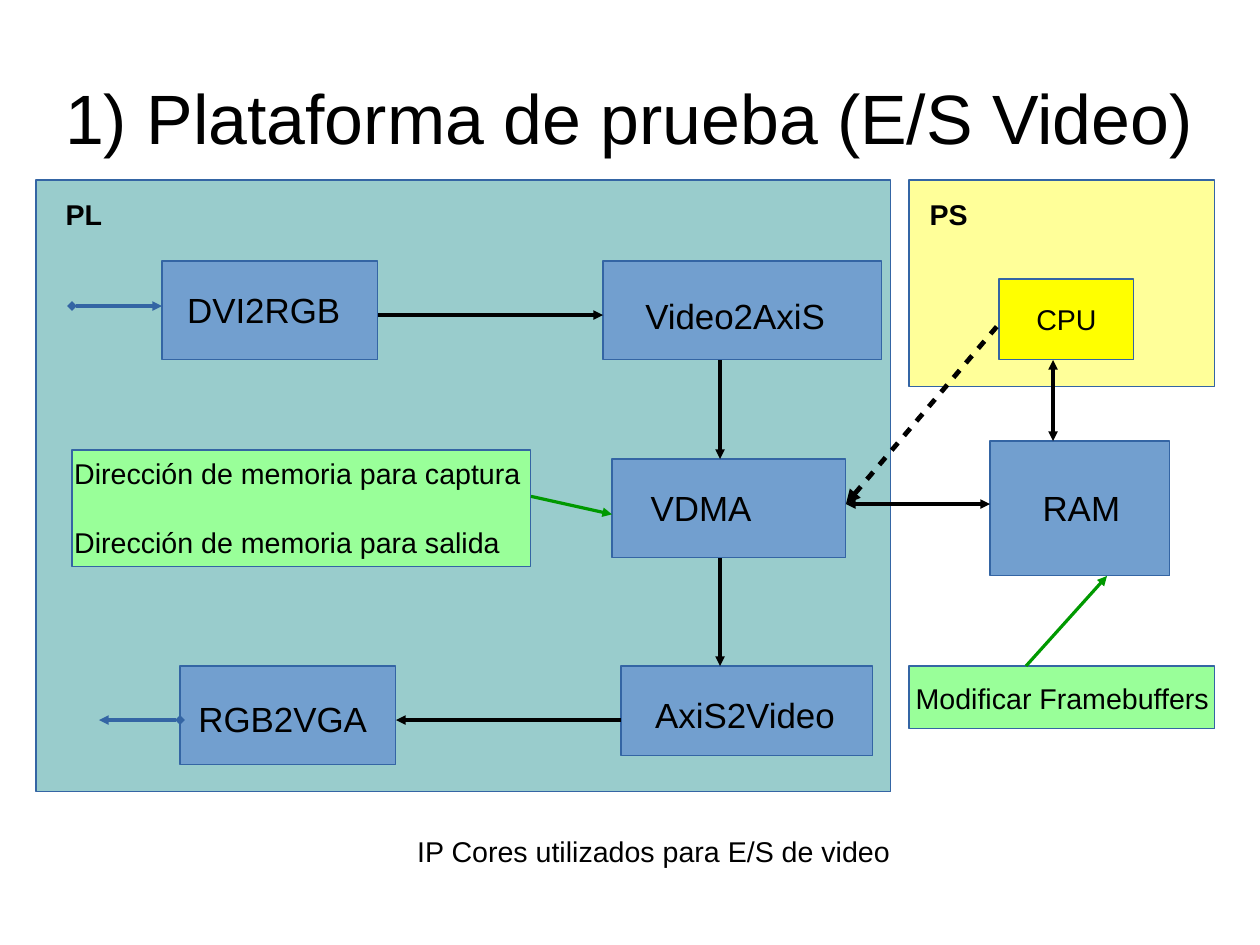
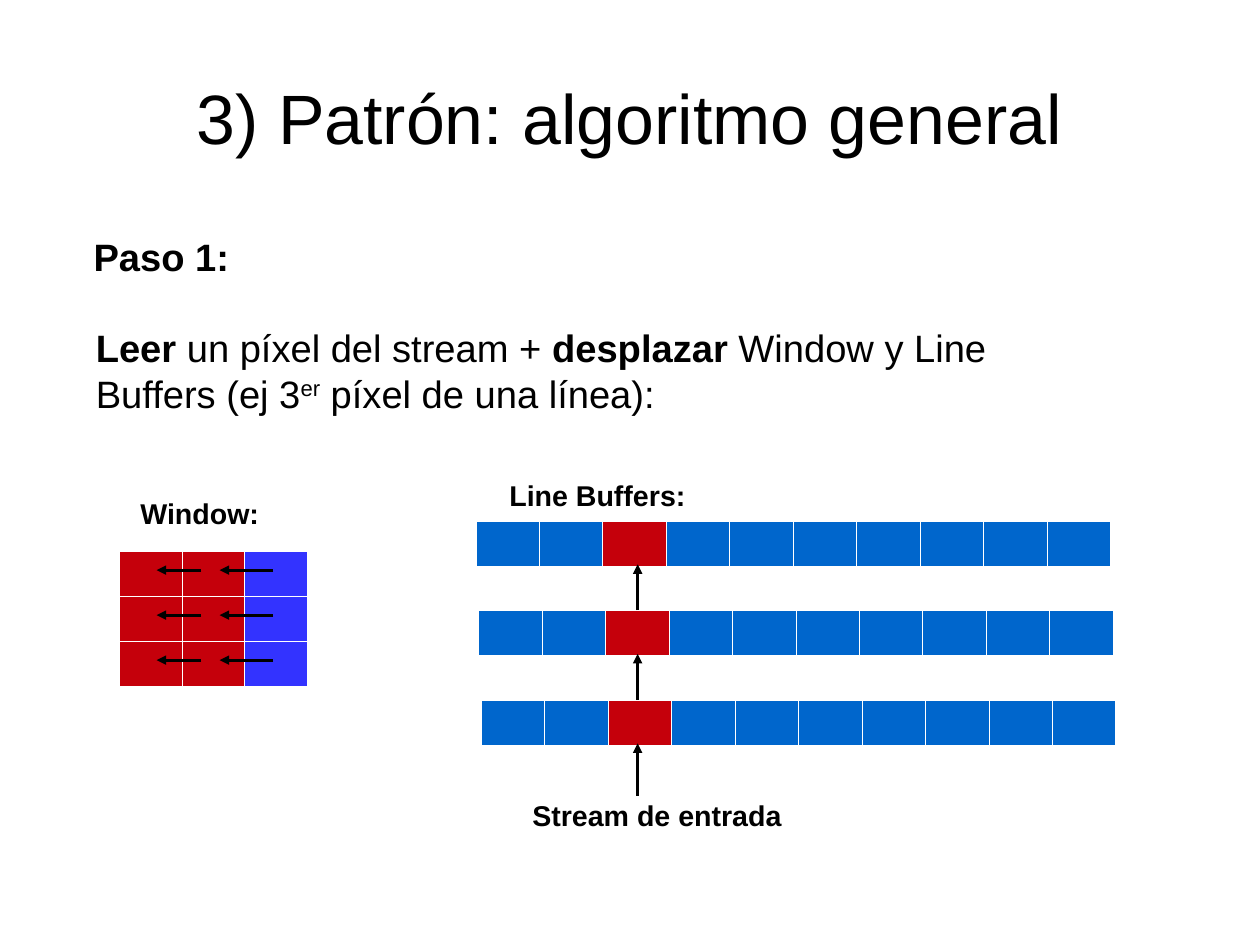
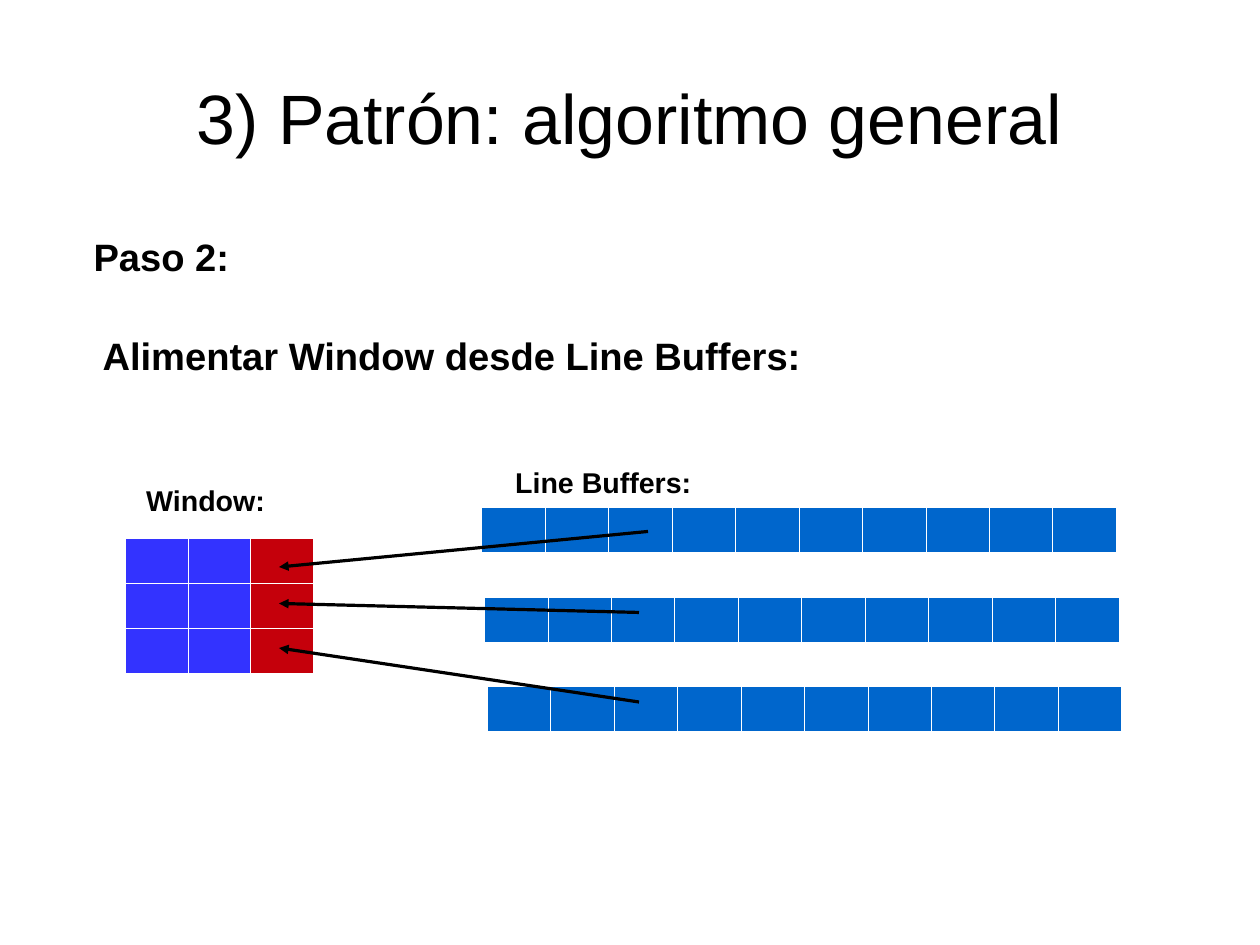
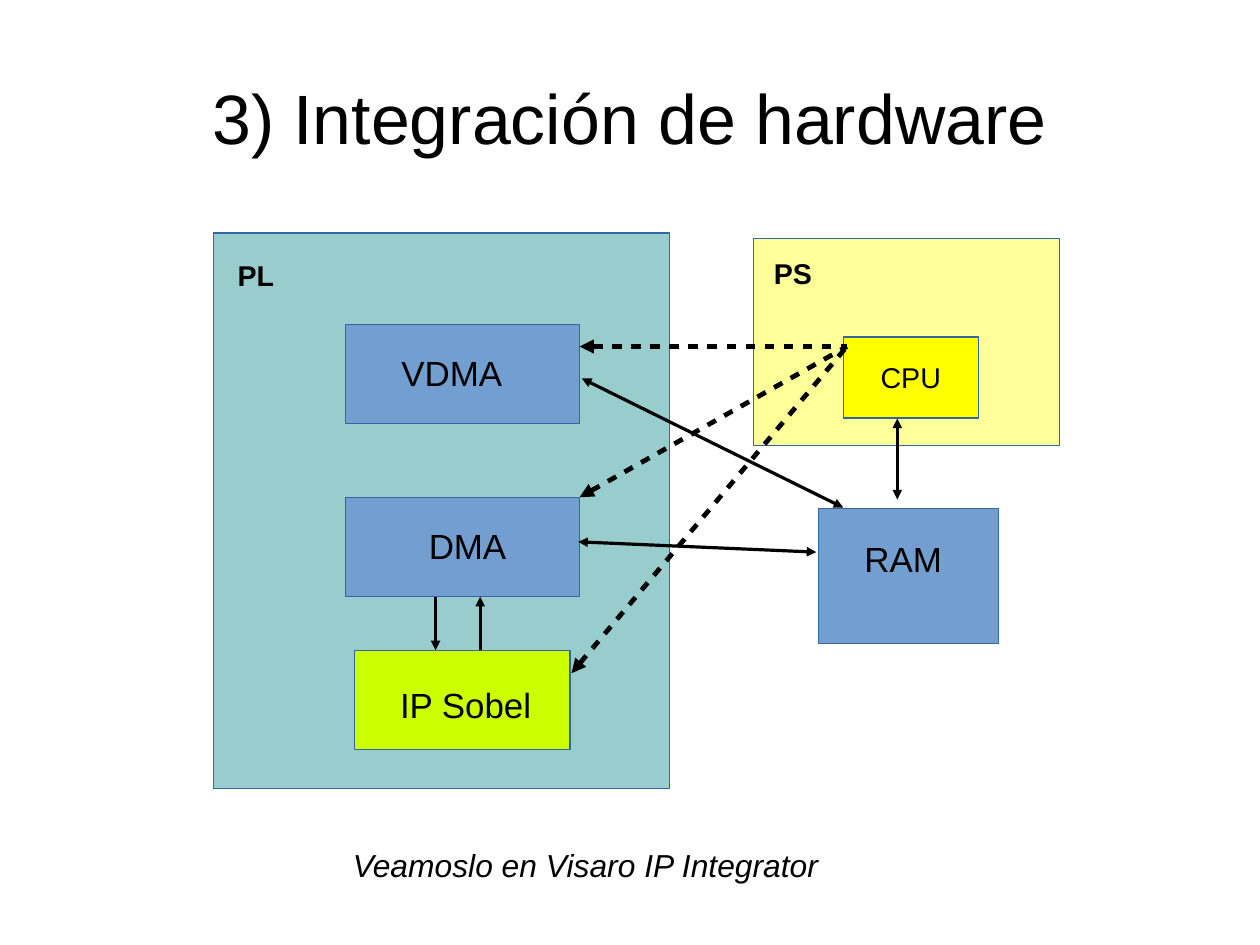
from dataclasses import dataclass
from typing import Any, Optional, Sequence, Union

import lxml.etree
import pptx
import pptx.dml.color
import pptx.enum.shapes
import pptx.enum.text
import pptx.oxml.ns
import pptx.util

COLUMNS, ROWS = 28, 21
SLIDE_WIDTH, SLIDE_HEIGHT = pptx.util.Cm(28), pptx.util.Cm(21)
ALIGN = pptx.enum.text.PP_ALIGN
ANCHOR = pptx.enum.text.MSO_ANCHOR


@dataclass(frozen=True)
class Theme:
    font: str = "Arial"
    ink: str = "000000"
    outline: str = "3465A4"
    logic: str = "99CCCC"
    processor: str = "FFFF99"
    cpu: str = "FFFF00"
    core: str = "729FCF"
    sobel: str = "CCFF00"
    note: str = "99FF99"
    note_arrow: str = "009900"
    active: str = "C5000B"
    window: str = "3333FF"
    buffer: str = "0066CC"
    grid: str = "FFFFFF"
    title_size: float = 44
    step_size: float = 24
    core_size: float = 22
    closing_size: float = 20
    label_size: float = 18
    hairline: float = 0
    control: float = 3
    cell_border: float = 0.06


THEME = Theme()


@dataclass(frozen=True)
class Run:
    text: str
    bold: bool = False
    superscript: bool = False


@dataclass(frozen=True)
class Block:
    """A box on the grid; inset is where its text starts, None centres it."""
    text: str
    x: float
    y: float
    width: float
    height: float
    inset: Optional[tuple[float, float]]
    fill: str = THEME.core
    size: float = THEME.core_size
    bold: bool = False
    line_gap: float = 0


@dataclass(frozen=True)
class Arrow:
    x1: float
    y1: float
    x2: float
    y2: float
    head: str = ""
    tail: str = "triangle"
    color: str = THEME.ink
    control: bool = False


@dataclass(frozen=True)
class Buffers:
    """Window and line buffers, with the colours of their columns."""
    dx: float
    dy: float
    window: Sequence[str]
    line: Sequence[str]


WINDOW_X, WINDOW_Y, WINDOW_COLUMN = 2.65, 12.25, 1.39
BUFFER_X, BUFFER_Y, BUFFER_COLUMN = 10.57, 11.57, 1.41
BUFFER_SHIFT, BUFFER_STEP, CELL_HEIGHT = 0.06, 1.99, 1.0
BUFFER_COUNT, BUFFER_LENGTH, PIXEL_COLUMN = 3, 10, 2


def across(columns: float) -> pptx.util.Emu:
    return pptx.util.Emu(round(SLIDE_WIDTH * columns / COLUMNS))


def down(rows: float) -> pptx.util.Emu:
    return pptx.util.Emu(round(SLIDE_HEIGHT * rows / ROWS))


def rgb(color: str) -> pptx.dml.color.RGBColor:
    return pptx.dml.color.RGBColor.from_string(color)


def add_xml(parent: Any, tag: str, **attributes: str) -> Any:
    return lxml.etree.SubElement(parent, pptx.oxml.ns.qn(tag), attributes)


def write(frame: Any, text: Union[str, Sequence[Run]], *, size: float,
          bold: bool = False, italic: bool = False, align: Any = ALIGN.LEFT,
          anchor: Any = ANCHOR.TOP, inset: tuple[float, float] = (0, 0),
          line_gap: float = 0) -> None:
    """Fill a frame with one paragraph per line, or with one of several runs."""
    frame.word_wrap = True
    frame.vertical_anchor = anchor
    frame.margin_left, frame.margin_top = across(inset[0]), down(inset[1])
    frame.margin_right = frame.margin_bottom = 0
    lines = ([[Run(line, bold)] for line in text.split("\n")]
             if isinstance(text, str) else [text])
    for index, parts in enumerate(lines):
        paragraph = frame.add_paragraph() if index else frame.paragraphs[0]
        paragraph.alignment = align
        if index:
            paragraph.space_before = pptx.util.Pt(line_gap)
        for part in parts:
            run = paragraph.add_run()
            run.text = part.text
            run.font.name = THEME.font
            run.font.size = pptx.util.Pt(size)
            run.font.bold, run.font.italic = part.bold, italic
            run.font.color.rgb = rgb(THEME.ink)
            if part.superscript:
                run._r.get_or_add_rPr().set("baseline", "33000")


def add_text(slide: Any, text: Union[str, Sequence[Run]], x: float, y: float,
             width: float, height: float, **text_format: Any) -> None:
    box = slide.shapes.add_textbox(across(x), down(y), across(width), down(height))
    write(box.text_frame, text, **{"inset": (0.25, 0.13), **text_format})


def add_block(slide: Any, block: Block) -> None:
    shape = slide.shapes.add_shape(
        pptx.enum.shapes.MSO_SHAPE.RECTANGLE, across(block.x), down(block.y),
        across(block.width), down(block.height))
    shape.shadow.inherit = False
    shape.fill.solid()
    shape.fill.fore_color.rgb = rgb(block.fill)
    shape.line.color.rgb = rgb(THEME.outline)
    shape.line.width = pptx.util.Pt(THEME.hairline)
    centred = block.inset is None
    write(shape.text_frame, block.text, size=block.size, bold=block.bold,
          align=ALIGN.CENTER if centred else ALIGN.LEFT,
          anchor=ANCHOR.MIDDLE if centred else ANCHOR.TOP,
          inset=block.inset or (0, 0), line_gap=block.line_gap)


def add_arrow(slide: Any, arrow: Arrow) -> None:
    connector = slide.shapes.add_connector(
        pptx.enum.shapes.MSO_CONNECTOR.STRAIGHT, across(arrow.x1), down(arrow.y1),
        across(arrow.x2), down(arrow.y2))
    connector.line.color.rgb = rgb(arrow.color)
    connector.line.width = pptx.util.Pt(
        THEME.control if arrow.control else THEME.hairline)
    line = connector.line._get_or_add_ln()
    if arrow.control:
        add_xml(add_xml(line, "a:custDash"), "a:ds", d="200000", sp="200000")
    for tag, kind in (("a:headEnd", arrow.head), ("a:tailEnd", arrow.tail)):
        if kind:
            add_xml(line, tag, type=kind)
    add_xml(connector._element.spPr, "a:effectLst")


def add_cells(slide: Any, x: float, y: float, column: float,
              colors: Sequence[str], rows: int = 1) -> None:
    """Draw a table of empty cells, coloured by column."""
    table = slide.shapes.add_table(
        rows, len(colors), across(x), down(y), across(column * len(colors)),
        down(CELL_HEIGHT * rows)).table
    table.first_row = table.horz_banding = False
    for table_column in table.columns:
        table_column.width = across(column)
    for row in table.rows:
        row.height = down(CELL_HEIGHT)
        for cell, color in zip(row.cells, colors):
            cell.margin_left = cell.margin_right = 0
            cell.margin_top = cell.margin_bottom = 0
            cell.fill.solid()
            cell.fill.fore_color.rgb = rgb(color)
            properties = cell._tc.get_or_add_tcPr()
            for index, tag in enumerate(("a:lnL", "a:lnR", "a:lnT", "a:lnB")):
                border = add_xml(properties, tag,
                                 w=str(pptx.util.Pt(THEME.cell_border)))
                add_xml(add_xml(border, "a:solidFill"), "a:srgbClr", val=THEME.grid)
                properties.insert(index, border)


def add_buffers(slide: Any, buffers: Buffers) -> None:
    dx, dy = buffers.dx, buffers.dy
    add_cells(slide, WINDOW_X + dx, WINDOW_Y + dy, WINDOW_COLUMN,
              buffers.window, rows=BUFFER_COUNT)
    for index in range(BUFFER_COUNT):
        add_cells(slide, BUFFER_X + dx + index * BUFFER_SHIFT,
                  BUFFER_Y + dy + index * BUFFER_STEP, BUFFER_COLUMN, buffers.line)
    for label, x, y in (("Window:", 2.87, 10.9), ("Line Buffers:", 11.07, 10.5)):
        add_text(slide, label, x + dx, y + dy, 4.5, 1,
                 size=THEME.label_size, bold=True)


def add_diagram(slide: Any, blocks: Sequence[Block], arrows: Sequence[Arrow]) -> None:
    for block in blocks:
        add_block(slide, block)
    for arrow in arrows:
        add_arrow(slide, arrow)


def start_slide(deck: Any, title: str, step: str = "") -> Any:
    """Add a slide with its title and, where given, its step heading."""
    slide = deck.slides.add_slide(deck.slide_layouts[6])
    add_text(slide, title, 1.4, 0.84, 25.2, 3.51, size=THEME.title_size,
             align=ALIGN.CENTER, anchor=ANCHOR.MIDDLE, inset=(0, 0))
    if step:
        add_text(slide, step, 1.83, 5.05, 7.06, 1.2,
                 size=THEME.step_size, bold=True)
    return slide


def logic_area(x: float, y: float, width: float, height: float,
               inset: tuple[float, float]) -> Block:
    return Block("PL", x, y, width, height, inset, THEME.logic,
                 THEME.label_size, bold=True)


def processor_area(x: float, y: float, cpu_dy: float) -> list[Block]:
    return [
        Block("PS", x, y, 6.8, 4.6, (0.46, 0.37), THEME.processor,
              THEME.label_size, bold=True),
        Block("CPU", x + 2, y + cpu_dy, 3, 1.8, None, THEME.cpu, THEME.label_size),
    ]


def two_way(x1: float, y1: float, x2: float, y2: float) -> Arrow:
    return Arrow(x1, y1, x2, y2, head="triangle")


def control(x1: float, y1: float, x2: float, y2: float) -> Arrow:
    """Dashed control line that points at its first end."""
    return Arrow(x1, y1, x2, y2, head="triangle", tail="", control=True)


def build_platform(deck: Any) -> None:
    slide = start_slide(deck, "1) Plataforma de prueba (E/S Video)")
    blocks = [
        logic_area(0.8, 4, 19, 13.6, (0.66, 0.38)),
        Block("DVI2RGB", 3.6, 5.8, 4.8, 2.2, (0.56, 0.61)),
        Block("Video2AxiS", 13.4, 5.8, 6.2, 2.2, (0.94, 0.74)),
        Block("VDMA", 13.6, 10.2, 5.2, 2.2, (0.86, 0.61)),
        Block("AxiS2Video", 13.8, 14.8, 5.6, 2, (0.76, 0.61)),
        Block("RGB2VGA", 4, 14.8, 4.8, 2.2, (0.41, 0.71)),
        Block("RAM", 22, 9.8, 4, 3, (1.17, 1.02)),
        Block("Dirección de memoria para captura\nDirección de memoria para salida",
              1.6, 10, 10.2, 2.6, (0.05, 0.13), THEME.note, THEME.label_size,
              line_gap=22),
        Block("Modificar Framebuffers", 20.2, 14.8, 6.8, 1.4, (0.15, 0.33),
              THEME.note, THEME.label_size),
        *processor_area(20.2, 4, 2.2),
    ]
    arrows = [
        Arrow(8.4, 7, 13.4, 7),
        Arrow(16, 8, 16, 10.2),
        Arrow(16, 12.4, 16, 14.8),
        Arrow(13.8, 16, 8.8, 16),
        two_way(18.8, 11.2, 22, 11.2),
        Arrow(1.6, 6.8, 3.6, 6.8, head="diamond", color=THEME.outline),
        Arrow(4, 16, 2.2, 16, head="diamond", color=THEME.outline),
        Arrow(22.8, 14.8, 24.6, 12.8, color=THEME.note_arrow),
        Arrow(11.8, 11.03, 13.6, 11.43, color=THEME.note_arrow),
        control(18.8, 11.2, 22.2, 7.2),
        two_way(23.4, 9.8, 23.4, 8),
    ]
    add_diagram(slide, blocks, arrows)
    add_text(slide, "IP Cores utilizados para E/S de video", 1.9, 18.4, 25, 1,
             size=THEME.label_size, align=ALIGN.CENTER)


def build_shift_step(deck: Any) -> None:
    slide = start_slide(deck, "3) Patrón: algoritmo general", "Paso 1:")
    line = [THEME.active if column == PIXEL_COLUMN else THEME.buffer
            for column in range(BUFFER_LENGTH)]
    add_buffers(slide, Buffers(
        0, 0, [THEME.active, THEME.active, THEME.window], line))
    stream_x = 14.17
    for index in range(BUFFER_COUNT):
        top = BUFFER_Y + index * BUFFER_STEP
        start = 17.68 if index == BUFFER_COUNT - 1 else top + BUFFER_STEP
        add_arrow(slide, Arrow(stream_x, start, stream_x, top + 0.97))
        y = 12.67 + index * CELL_HEIGHT
        for x1, x2 in ((4.47, 3.48), (6.07, 4.88)):
            add_arrow(slide, Arrow(x1, y, x2, y))
    add_text(slide, "Stream de entrada", 11.58, 17.6, 6.8, 1.68,
             size=THEME.label_size, bold=True)
    add_text(slide, [
        Run("Leer", bold=True), Run(" un píxel del stream + "),
        Run("desplazar", bold=True), Run(" Window y Line Buffers (ej 3"),
        Run("er", superscript=True), Run(" píxel de una línea):"),
    ], 1.88, 7.09, 22.8, 2.18, size=THEME.step_size)


def build_feed_step(deck: Any) -> None:
    slide = start_slide(deck, "3) Patrón: algoritmo general", "Paso 2:")
    add_buffers(slide, Buffers(
        0.13, -0.3, [THEME.window, THEME.window, THEME.active],
        [THEME.buffer] * BUFFER_LENGTH))
    for x, start, end in ((14.4, 11.81, 12.6), (14.2, 13.61, 13.41),
                          (14.2, 15.6, 14.4)):
        add_arrow(slide, Arrow(x, start, 6.2, end))
    add_text(slide, "Alimentar Window desde Line Buffers:", 2.03, 7.26, 22.8, 1.2,
             size=THEME.step_size, bold=True)


def build_integration(deck: Any) -> None:
    slide = start_slide(deck, "3) Integración de hardware")
    blocks = [
        logic_area(4.75, 5.18, 10.13, 12.34, (0.53, 0.56)),
        Block("VDMA", 7.68, 7.21, 5.2, 2.2, (1.24, 0.61)),
        Block("DMA", 7.68, 11.05, 5.2, 2.2, (1.85, 0.61)),
        Block("IP Sobel", 7.87, 14.45, 4.8, 2.2, (1.02, 0.74), THEME.sobel),
        Block("RAM", 18.19, 11.3, 4, 3, (1.02, 0.64)),
        *processor_area(16.74, 5.31, 2.18),
    ]
    cpu_port = (18.82, 7.7)
    arrows = [
        Arrow(9.68, 13.26, 9.68, 14.45),
        Arrow(10.67, 14.45, 10.67, 13.26),
        two_way(19.94, 11.1, 19.94, 9.3),
        two_way(18.14, 12.27, 12.85, 12.04),
        two_way(18.74, 11.28, 12.93, 8.41),
        control(12.88, 7.7, *cpu_port),
        control(12.88, 11.05, *cpu_port),
        control(12.7, 14.96, *cpu_port),
    ]
    add_diagram(slide, blocks, arrows)
    add_text(slide, "Veamoslo en Visaro IP Integrator", 7.59, 18.67, 12.8, 1.68,
             size=THEME.closing_size, italic=True)


def main() -> None:
    deck = pptx.Presentation()
    deck.slide_width, deck.slide_height = SLIDE_WIDTH, SLIDE_HEIGHT
    for build in (build_platform, build_shift_step, build_feed_step,
                  build_integration):
        build(deck)
    deck.save("out.pptx")


if __name__ == "__main__":
    main()
